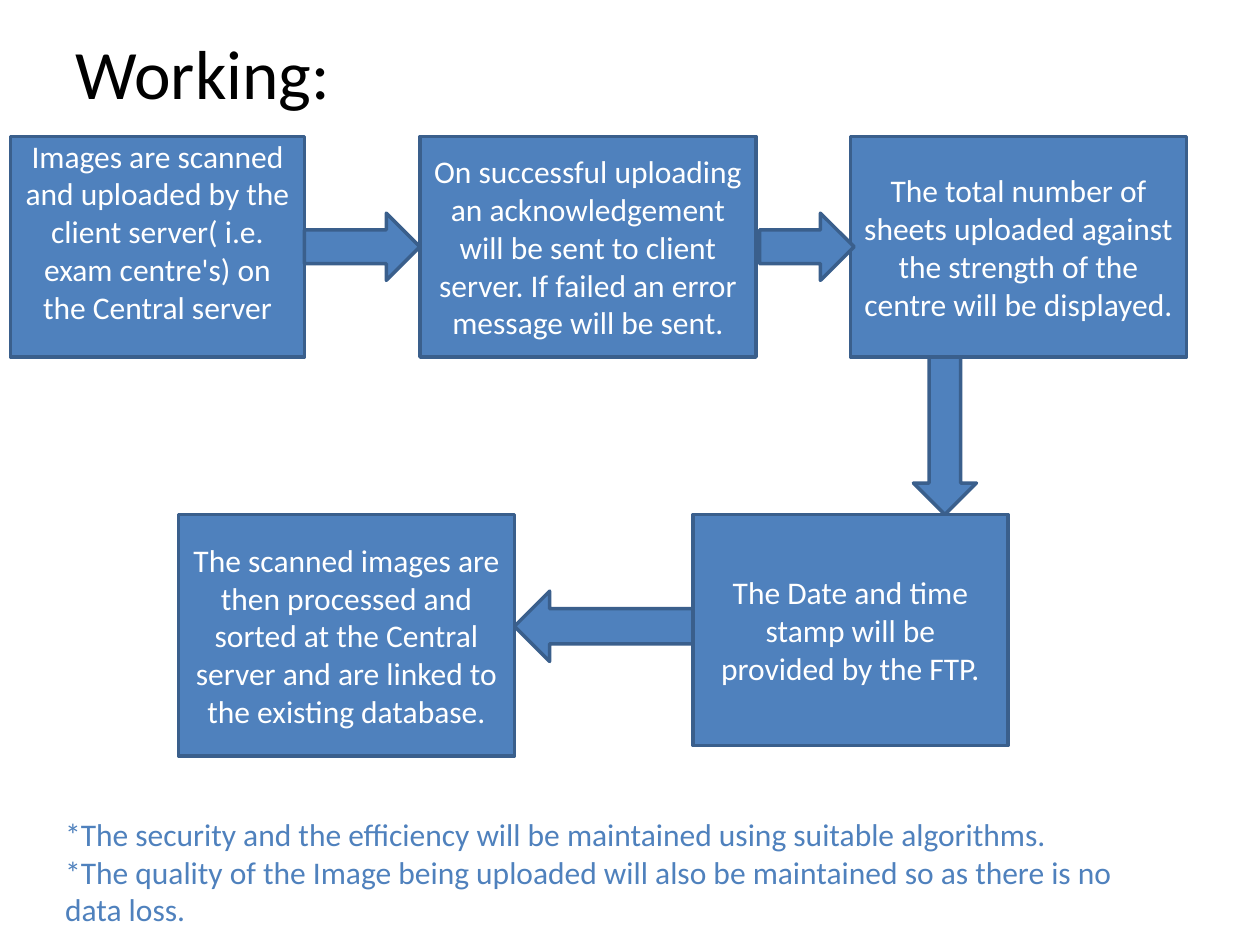
from pptx import Presentation
from pptx.dml.color import RGBColor
from pptx.enum.shapes import MSO_SHAPE
from pptx.enum.text import MSO_ANCHOR, MSO_AUTO_SIZE, PP_ALIGN
from pptx.oxml.ns import qn
from pptx.util import Pt

RECT, RIGHT = MSO_SHAPE.RECTANGLE, MSO_SHAPE.RIGHT_ARROW
DOWN, BACK = MSO_SHAPE.DOWN_ARROW, MSO_SHAPE.LEFT_ARROW
TOP, MID = MSO_ANCHOR.TOP, MSO_ANCHOR.MIDDLE
LEFT, MIDDLE = PP_ALIGN.LEFT, PP_ALIGN.CENTER
FIXED = MSO_AUTO_SIZE.NONE

BLUE = RGBColor(0x4F, 0x81, 0xBD)
EDGE = RGBColor(0x3A, 0x5F, 0x8C)
WHITE = RGBColor(0xFF, 0xFF, 0xFF)
BLACK = RGBColor(0, 0, 0)


def apply(item, values):
    for name, value in values.items():
        setattr(item, name, value)


class Board:
    font = "Calibri"
    size = 18

    def __init__(self, deck):
        self.slide = deck.slides.add_slide(deck.slide_layouts[1])

    def place(self, shape, at):
        names = ("left", "top", "width", "height")
        apply(shape, dict(zip(names, map(Pt, at))))

    def label(self, shape, lines, color, align, anchor=MID, size=size):
        frame = shape.text_frame
        frame.text = "\n".join(lines)
        apply(frame, {"word_wrap": True, "auto_size": FIXED,
                      "vertical_anchor": anchor})
        for para in frame.paragraphs:
            apply(para, {"alignment": align, "space_before": Pt(0)})
            apply(para.font, {"name": self.font, "size": Pt(size)})
            para.font.color.rgb = color

    def title(self, text, at):
        shape = self.slide.shapes.title
        self.place(shape, at)
        self.label(shape, [text], BLACK, LEFT, size=39.6)

    def notes(self, lines, at):
        shape = self.slide.placeholders[1]
        self.place(shape, at)
        self.label(shape, lines, BLUE, LEFT, TOP)
        # Plain lines without bullets
        for para in shape.text_frame.paragraphs:
            props = para._p.get_or_add_pPr()
            props.set("marL", "0")
            props.set("indent", "0")
            bare = props.makeelement(qn("a:buNone"), {})
            props.find(qn("a:spcBef")).addnext(bare)

    def block(self, kind, at):
        shape = self.slide.shapes.add_shape(kind, *map(Pt, at))
        shape.shadow.inherit = False
        shape.fill.solid()
        shape.fill.fore_color.rgb = BLUE
        shape.line.color.rgb = EDGE
        shape.line.width = Pt(2)
        return shape

    def step(self, text, at, anchor=MID):
        shape = self.block(RECT, at)
        self.label(shape, [text], WHITE, MIDDLE, anchor)
        if anchor == TOP:
            shape.text_frame.margin_top = Pt(0)


deck = Presentation()
apply(deck, {"slide_width": Pt(720), "slide_height": Pt(540)})
board = Board(deck)

# Title
board.title("Working:", (36, 21.6, 648, 38.4))

# Steps: two rows of boxes
ROW1, ROW2, WIDE, TALL = 78, 294, 192, 126
board.step("Images are scanned and uploaded by the client server( i.e. "
           "exam centre's) on the Central server",
           (6, ROW1, 168, TALL), TOP)
board.step("On successful uploading an acknowledgement will be sent to "
           "client server. If failed an error message will be sent.",
           (240, ROW1, WIDE, TALL))
board.step("The total number of sheets uploaded against the strength of "
           "the centre will be displayed.", (486, ROW1, WIDE, TALL))
board.step("The Date and time stamp will be provided by the FTP.",
           (396, ROW2, 180, 132))
board.step("The scanned images are then processed and sorted at the "
           "Central server and are linked to the existing database.",
           (102, ROW2, WIDE, 138))

# Arrows between the steps
for kind, at in (
    (RIGHT, (174, 121.8, 66, 38.4)),
    (RIGHT, (434, 121.8, 54, 38.4)),
    (DOWN, (522, ROW1 + TALL, 36, ROW2 - ROW1 - TALL)),
    (BACK, (294, 337.8, 102, 40.2)),
):
    board.block(kind, at)

# Closing remarks
board.notes(["*The security and the efficiency will be maintained using "
             "suitable algorithms.",
             "*The quality of the Image being uploaded will also be "
             "maintained so as there is no data loss."],
            (30, 462, 630, 72.7))

deck.save("out.pptx")
